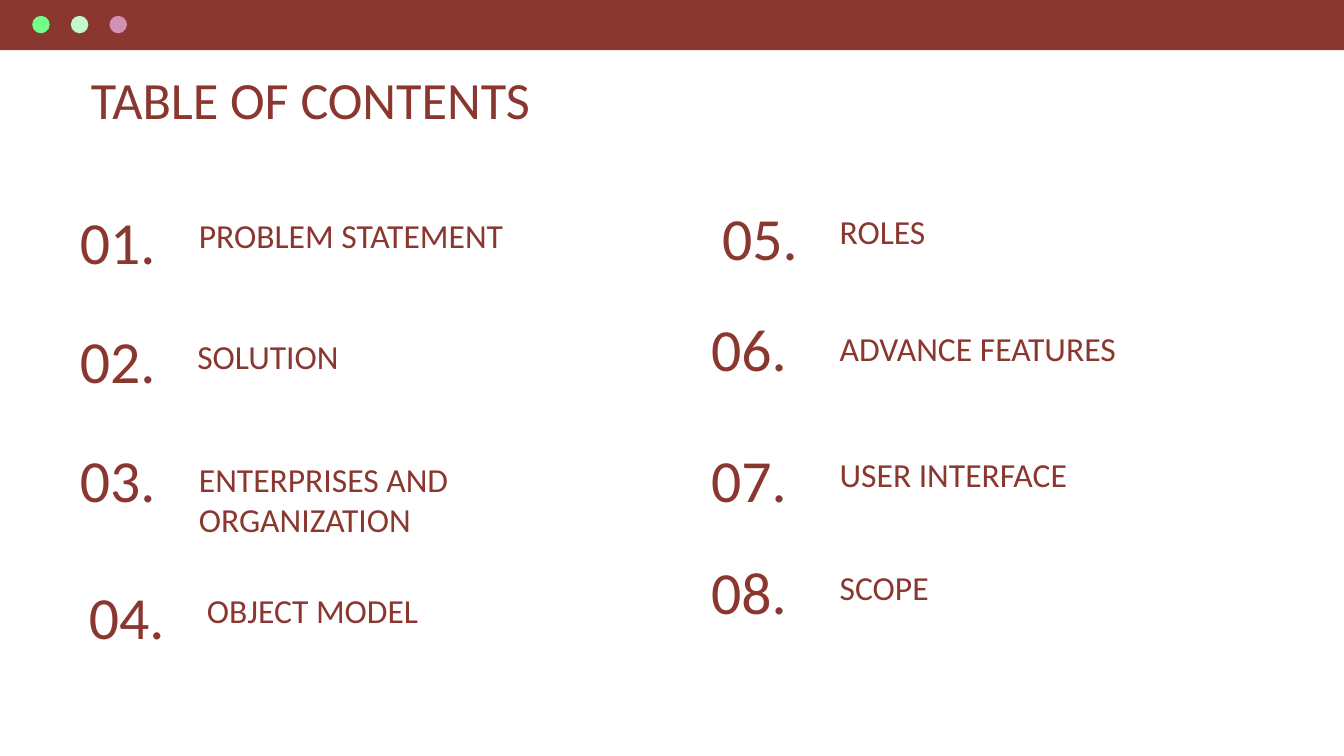
from pptx import Presentation
from pptx.dml.color import RGBColor
from pptx.enum.shapes import MSO_SHAPE
from pptx.enum.text import MSO_ANCHOR, PP_ALIGN
from pptx.util import Cm, Pt

RECT, OVAL = MSO_SHAPE.RECTANGLE, MSO_SHAPE.OVAL
TOP, BOTTOM = MSO_ANCHOR.TOP, MSO_ANCHOR.BOTTOM
LEFT, CENTER = PP_ALIGN.LEFT, PP_ALIGN.CENTER

# Content; all lengths in cm
FONT, MAROON = "Calibri", "8A3730"
TITLE = "TABLE OF CONTENTS"
DOTS = ["72FF89", "C4F8CC", "D190B5"]
# label, number (left, top), label box (left, top, width, height)
ENTRIES = [
    ("PROBLEM STATEMENT", (0.97, 3.84), (3.51, 3.81, 7.42, 1.3)),
    ("SOLUTION", (0.97, 6.1), (3.48, 6.1, 7.57, 1.3)),
    ("ENTERPRISES AND ORGANIZATION", (0.97, 8.33), (3.51, 8.41, 7.42, 1.63)),
    ("OBJECT MODEL", (1.14, 10.92), (3.66, 10.9, 7.67, 1.35)),
    ("ROLES", (13.11, 3.76), (15.62, 3.73, 8.99, 1.5)),
    ("ADVANCE FEATURES", (12.9, 5.87), (15.62, 5.94, 7.67, 1.63)),
    ("USER INTERFACE", (12.9, 8.33), (15.62, 8.33, 7.67, 1.63)),
    ("SCOPE", (12.9, 10.46), (15.62, 10.46, 7.67, 1.63)),
]
SLIDE_W, SLIDE_H = 25.4, 14.28
NUMBER_SIZE = (2.51, 1.63)
DOT_LEFT, DOT_TOP, DOT_SIZE, DOT_STEP = 0.61, 0.3, 0.33, 0.73


def rgb(color):
    return RGBColor.from_string(color)


def add_filled(s, kind, box, color):
    sp = s.shapes.add_shape(kind, *map(Cm, box))
    sp.shadow.inherit = False
    sp.fill.solid()
    sp.fill.fore_color.rgb = rgb(color)
    sp.line.fill.background()


def add_text(s, text, box, size, align=LEFT, anchor=TOP):
    tf = s.shapes.add_textbox(*map(Cm, box)).text_frame
    tf.word_wrap = True
    tf.vertical_anchor = anchor
    tf.margin_left = tf.margin_right = tf.margin_top = tf.margin_bottom = Cm(0.25)
    p = tf.paragraphs[0]
    p.alignment = align
    r = p.add_run()
    r.text = text
    r.font.name, r.font.size = FONT, Pt(size)
    r.font.color.rgb = rgb(MAROON)


prs = Presentation()
prs.slide_width, prs.slide_height = Cm(SLIDE_W), Cm(SLIDE_H)
s = prs.slides.add_slide(prs.slide_layouts[6])

# Title
add_text(s, TITLE, (1.47, 1.02, 21.44, 1.3), 28)

# Numbered entries
for i, (label, number_pos, label_box) in enumerate(ENTRIES, 1):
    add_text(s, label, label_box, 18)
    add_text(s, f"{i:02}.", number_pos + NUMBER_SIZE, 32, CENTER, BOTTOM)

# Window bar with its three dots
add_filled(s, RECT, (0, 0, SLIDE_W, 0.95), MAROON)
for i, color in enumerate(DOTS):
    add_filled(s, OVAL, (DOT_LEFT + i * DOT_STEP, DOT_TOP, DOT_SIZE, DOT_SIZE), color)

prs.save("out.pptx")
